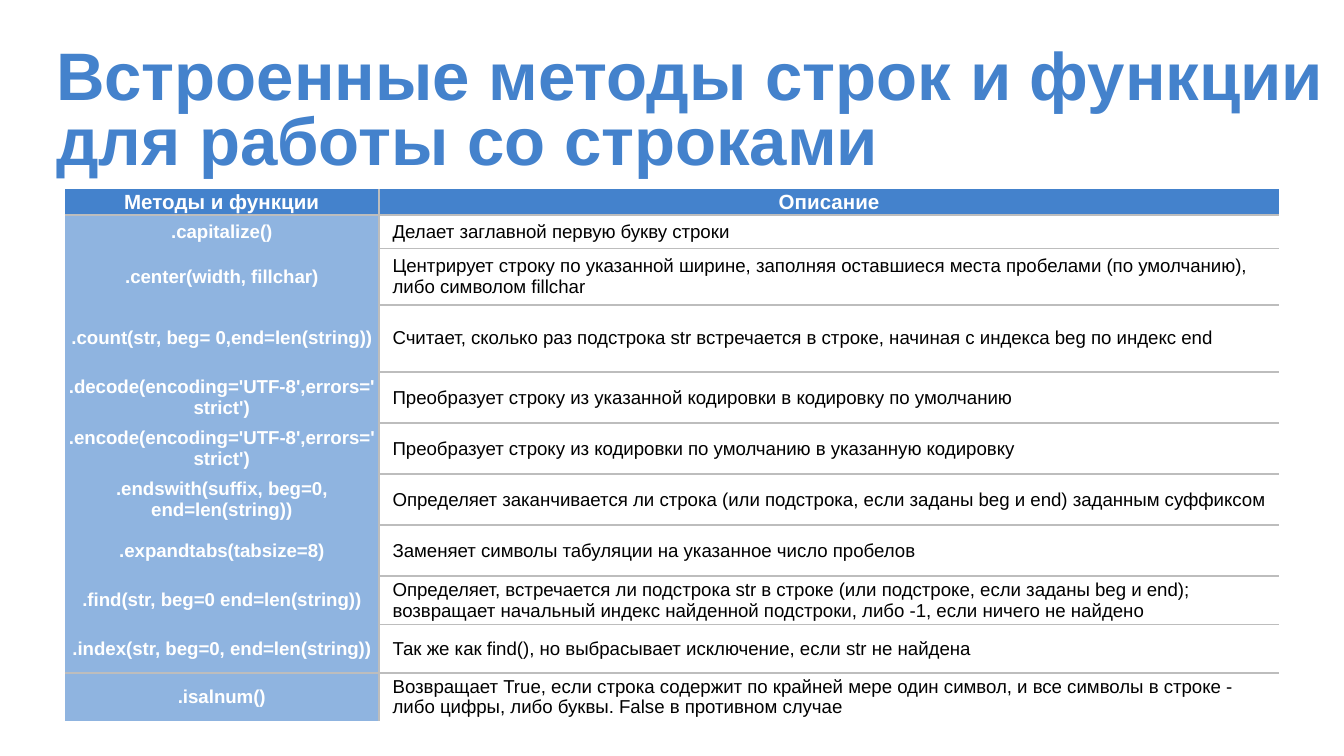
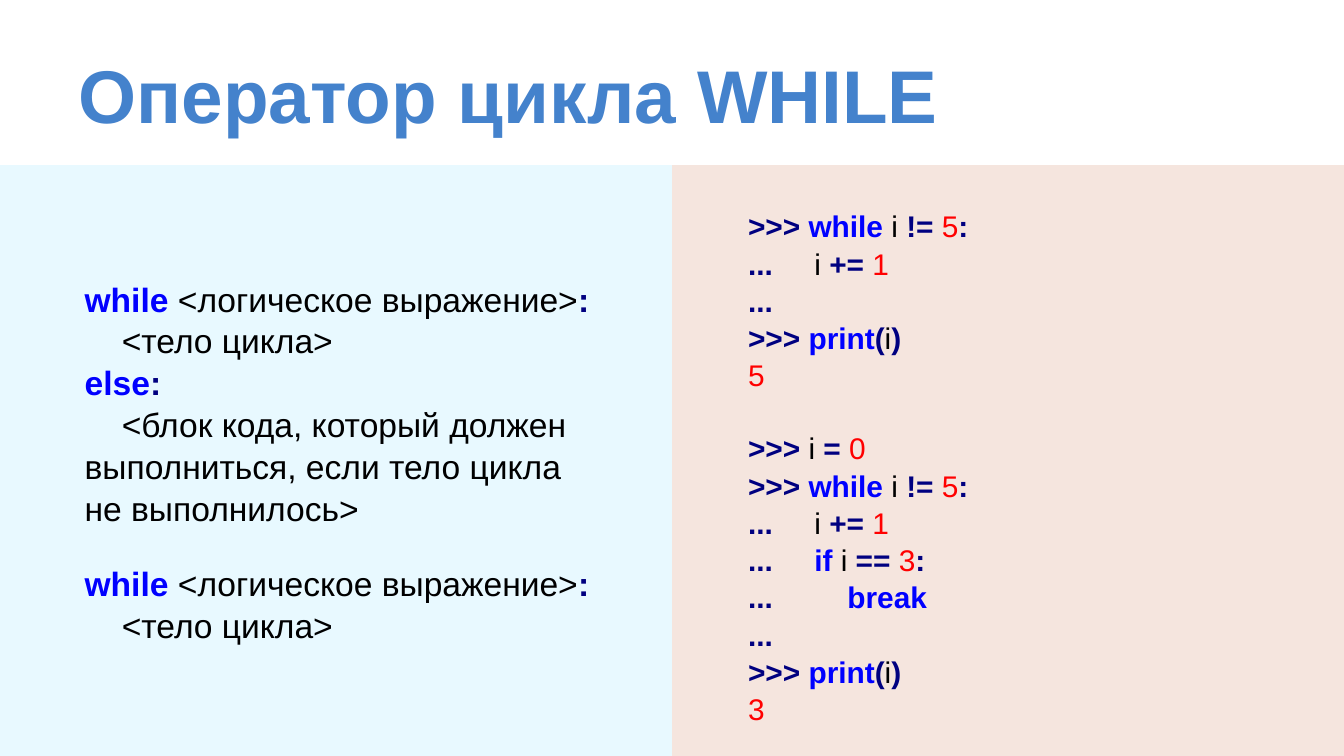
from lxml.etree import SubElement
from pptx import Presentation
from pptx.dml.color import RGBColor
from pptx.enum.shapes import MSO_SHAPE as SHAPE
from pptx.enum.text import MSO_ANCHOR as ANCHOR, PP_ALIGN as ALIGN
from pptx.oxml.ns import qn
from pptx.util import Cm, Pt

FONT = "Arial"
BLUE, LIGHT_BLUE, GREY = "4482CC", "8FB4E0", "BDBDBD"
WHITE, BLACK = "FFFFFF", "000000"
SYNTAX_BG, EXAMPLE_BG = "E8F9FF", "F5E5DE"
NO_STYLE = "{2D5ABB26-0587-4C30-8999-92F81FD0307C}"

KEY = dict(color="0000FF", bold=True)
OP = dict(color="000080", bold=True)
NUM = dict(color="FF0000")
NAME = dict(color=BLACK)

METHODS = [
    (".capitalize()", "Делает заглавной первую букву строки", 0.25),
    (".center(width, fillchar)",
     "Центрирует строку по указанной ширине, заполняя оставшиеся места пробелами "
     "(по умолчанию), либо символом fillchar", 0.42),
    (".count(str, beg= 0,end=len(string))",
     "Считает, сколько раз подстрока str встречается в строке, начиная с индекса beg "
     "по индекс end", 0.5),
    (".decode(encoding='UTF-8',errors='strict')",
     "Преобразует строку из указанной кодировки в кодировку по умолчанию", 0.38),
    (".encode(encoding='UTF-8',errors='strict')",
     "Преобразует строку из кодировки по умолчанию в указанную кодировку", 0.38),
    (".endswith(suffix, beg=0, end=len(string))",
     "Определяет заканчивается ли строка (или подстрока, если заданы beg и end) "
     "заданным суффиксом", 0.38),
    (".expandtabs(tabsize=8)",
     "Заменяет символы табуляции на указанное число пробелов", 0.38),
    (".find(str, beg=0 end=len(string))",
     "Определяет, встречается ли подстрока str в строке (или подстроке, если заданы "
     "beg и end); возвращает начальный индекс найденной подстроки, либо -1, если "
     "ничего не найдено", 0.36),
    (".index(str, beg=0, end=len(string))",
     "Так же как find(), но выбрасывает исключение, если str не найдена", 0.36),
    (".isalnum()",
     "Возвращает True, если строка содержит по крайней мере один символ, и все символы "
     "в строке - либо цифры, либо буквы. False в противном случае", 0.36),
]

WHILE_SYNTAX = [
    [("while ", KEY), ("<логическое выражение>", NAME), (":", OP)],
    [("    <тело цикла>", NAME)],
]
ELSE_SYNTAX = [
    [("else", KEY), (":", OP)],
    [("    <блок кода, который должен выполниться, если тело цикла не выполнилось>", NAME)],
]
LOOP = [
    [(">>> ", OP), ("while", KEY), (" i ", NAME), ("!= ", OP), ("5", NUM), (":", OP)],
    [("...     ", OP), ("i ", NAME), ("+= ", OP), ("1", NUM)],
]
PRINT = [
    [("...", OP)],
    [(">>> ", OP), ("print", KEY), ("(", OP), ("i", NAME), (")", OP)],
]
FULL_RUN = LOOP + PRINT + [[("5", NUM)]]
BREAK_RUN = [
    [(">>>", OP), (" i ", NAME), ("= ", OP), ("0", NUM)],
    *LOOP,
    [("...     ", OP), ("if", KEY), (" i ", NAME), ("== ", OP), ("3", NUM), (":", OP)],
    [("...         ", OP), ("break", KEY)],
    *PRINT,
    [("3", NUM)],
]


def rgb(value):
    """Turn a hex string into a colour."""
    return RGBColor.from_string(value)


def add_text(p, text, size=18, color=BLACK, bold=False):
    """Add one formatted run to a paragraph."""
    r = p.add_run()
    r.text = text
    r.font.name, r.font.size, r.font.bold = FONT, Pt(size), bold
    r.font.color.rgb = rgb(color)


def add_box(s, x, y, w, h):
    """Add a wrapping text box and return its frame."""
    tf = s.shapes.add_textbox(Cm(x), Cm(y), Cm(w), Cm(h)).text_frame
    tf.word_wrap = True
    return tf


def add_title(s, text, x, w, size, spacing=1.0):
    """Place the slide title."""
    tf = add_box(s, x, 0.51, w, 1.93)
    tf.margin_left = tf.margin_right = tf.margin_bottom = Cm(0.25)
    tf.margin_top = Cm(0.42)
    p = tf.paragraphs[0]
    p.line_spacing = spacing
    add_text(p, text, size=size, color=BLUE, bold=True)


def add_code(s, x, y, w, h, blocks, size):
    """Write blocks of highlighted code with a line's gap between them."""
    tf = add_box(s, x, y, w, h)
    p = tf.paragraphs[0]
    for i, block in enumerate(blocks):
        for j, line in enumerate(block):
            if i or j:
                p = tf.add_paragraph()
            if i and not j:
                p.space_before = Pt(size * 1.2)
            p.line_spacing = 1.04
            for text, style in line:
                add_text(p, text, size=size, **style)


def add_panel(s, x, y, w, h, color):
    """Draw a plain coloured panel."""
    sp = s.shapes.add_shape(SHAPE.RECTANGLE, Cm(x), Cm(y), Cm(w), Cm(h))
    sp.shadow.inherit = False
    sp.fill.solid()
    sp.fill.fore_color.rgb = rgb(color)
    sp.line.fill.background()


def set_borders(cell, sides):
    """Draw thin grey borders on the given sides of a cell."""
    tc_pr = cell._tc.get_or_add_tcPr()
    for side in sides:
        ln = SubElement(tc_pr, qn(f"a:ln{side}"), w=str(Pt(1)))
        fill = SubElement(ln, qn("a:solidFill"))
        SubElement(fill, qn("a:srgbClr"), val=GREY)


def fill_cell(cell, text, fill, borders, margin=0.03, indent=0, align=ALIGN.CENTER, **fmt):
    """Write and format one table cell."""
    set_borders(cell, borders)
    cell.fill.solid()
    cell.fill.fore_color.rgb = rgb(fill)
    cell.vertical_anchor = ANCHOR.MIDDLE
    cell.margin_left = cell.margin_right = Cm(margin)
    cell.margin_top = cell.margin_bottom = 0
    p = cell.text_frame.paragraphs[0]
    p.alignment = align
    if indent:
        p._p.get_or_add_pPr().set("marL", str(Cm(indent)))
    add_text(p, text, **fmt)


def add_methods_table(s, x, y, w, h):
    """Build the table of string methods."""
    frame = s.shapes.add_table(len(METHODS) + 1, 2, Cm(x), Cm(y), Cm(w), Cm(h))
    tbl = frame.table
    tbl._tbl.tblPr.find(qn("a:tableStyleId")).text = NO_STYLE
    name_w = 5.94
    tbl.columns[0].width, tbl.columns[1].width = Cm(name_w), Cm(w - name_w)
    tbl.rows[0].height = Cm(0.19 * 2.54)
    head = dict(fill=BLUE, margin=0.15, size=11, color=WHITE, bold=True)
    fill_cell(tbl.cell(0, 0), "Методы и функции", borders="RB", **head)
    fill_cell(tbl.cell(0, 1), "Описание", borders="LB", **head)
    for i, (name, about, inches) in enumerate(METHODS, 1):
        last = i == len(METHODS)
        tbl.rows[i].height = Cm(inches * 2.54)
        fill_cell(tbl.cell(i, 0), name, LIGHT_BLUE, "RT" if last else "",
                  size=10, color=WHITE, bold=True)
        fill_cell(tbl.cell(i, 1), about, WHITE, "LT" if last else "LTB",
                  indent=0.23, align=ALIGN.LEFT, size=10)


def methods_slide(prs):
    """Build the slide on string methods."""
    s = prs.slides.add_slide(prs.slide_layouts[6])
    add_methods_table(s, 1.22, 3.58, 22.96, 10.06)
    add_title(s, "Встроенные методы строк и функции для работы со строками",
              x=0.81, w=24.59, size=36, spacing=0.8)


def while_slide(prs):
    """Build the slide on the while loop."""
    s = prs.slides.add_slide(prs.slide_layouts[6])
    half, top, h = 12.7, 3.12, 11.17
    add_panel(s, half, top, half, h, EXAMPLE_BG)
    add_panel(s, 0, top, half, h, SYNTAX_BG)
    add_title(s, "Оператор цикла WHILE", x=1.24, w=22.56, size=40)
    add_code(s, 1.35, top + 1.99, 10.29, 4.88, [WHILE_SYNTAX + ELSE_SYNTAX], 18)
    add_code(s, 1.35, top + 7.37, 10.29, 1.8, [WHILE_SYNTAX], 18)
    add_code(s, half + 1.19, top + 0.66, 7.44, 9.83, [FULL_RUN, BREAK_RUN], 16)


def main():
    """Build and save the presentation."""
    prs = Presentation()
    prs.slide_width, prs.slide_height = Cm(25.4), Cm(14.29)
    methods_slide(prs)
    while_slide(prs)
    prs.save("out.pptx")


if __name__ == "__main__":
    main()
